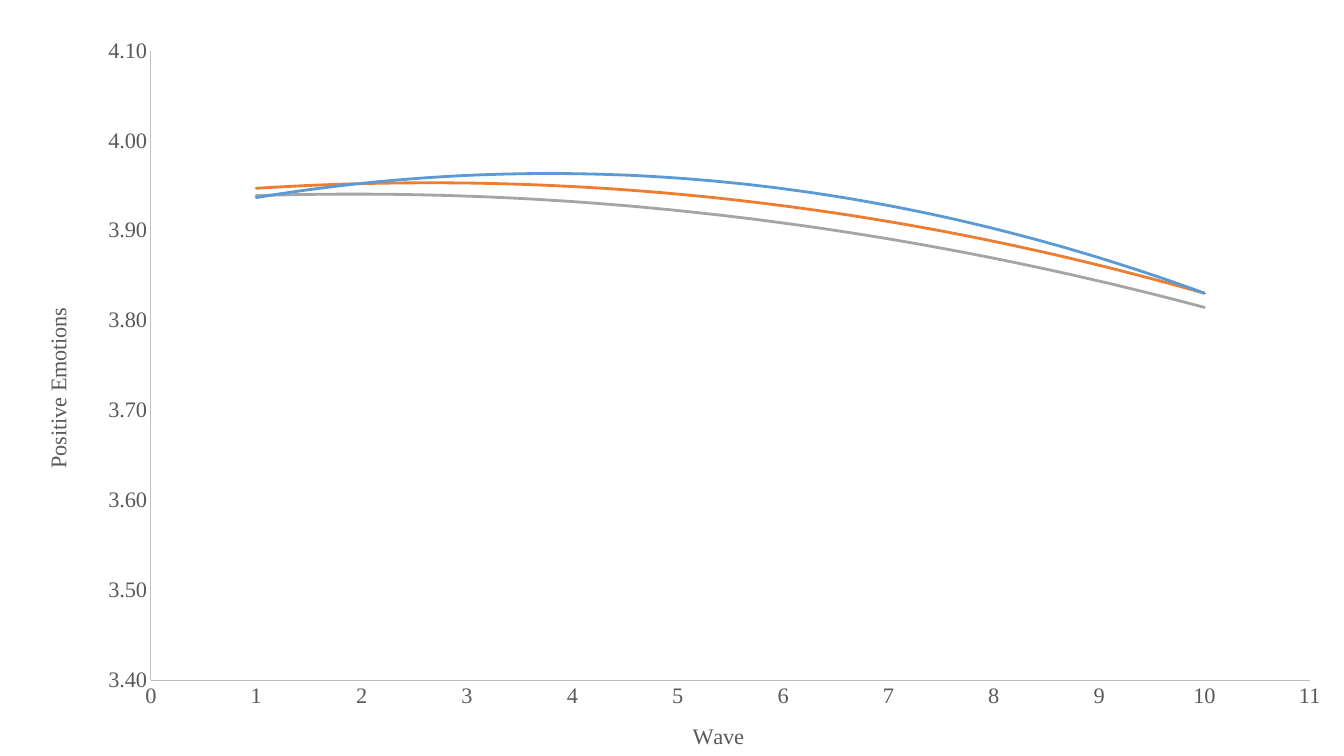
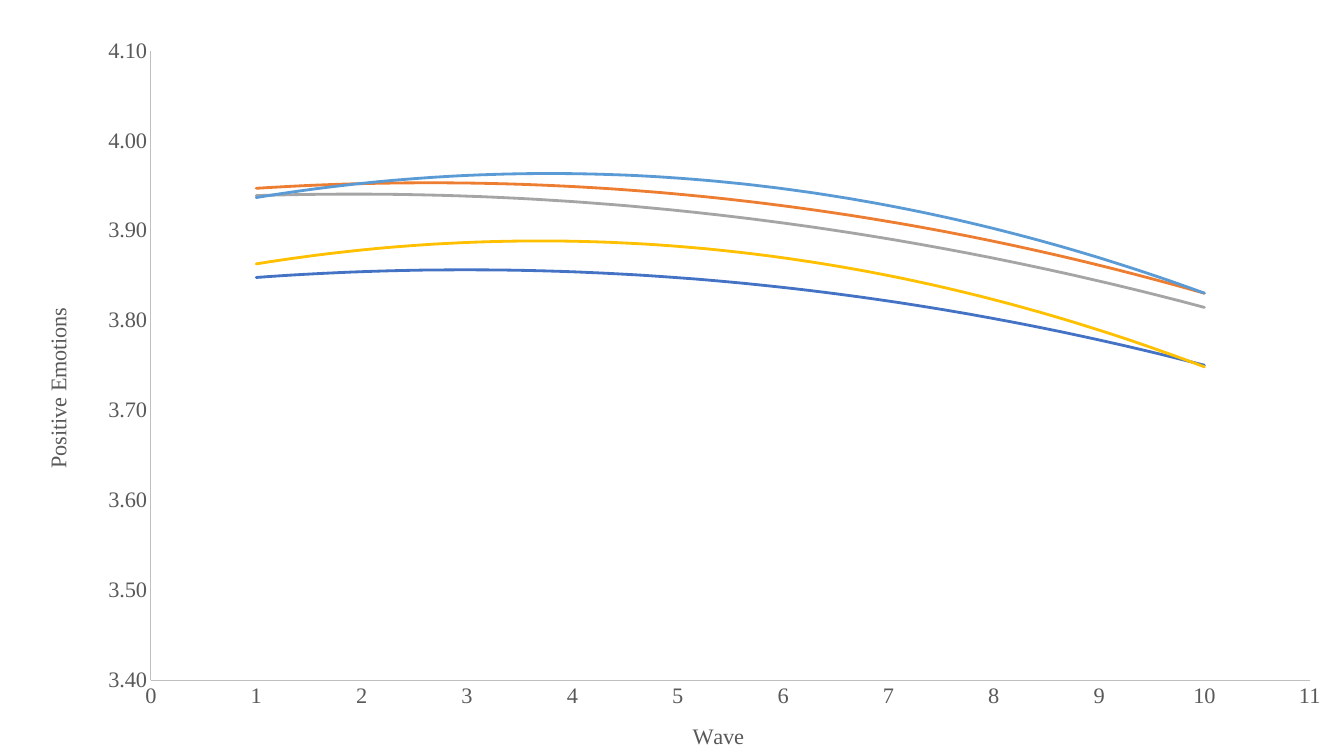
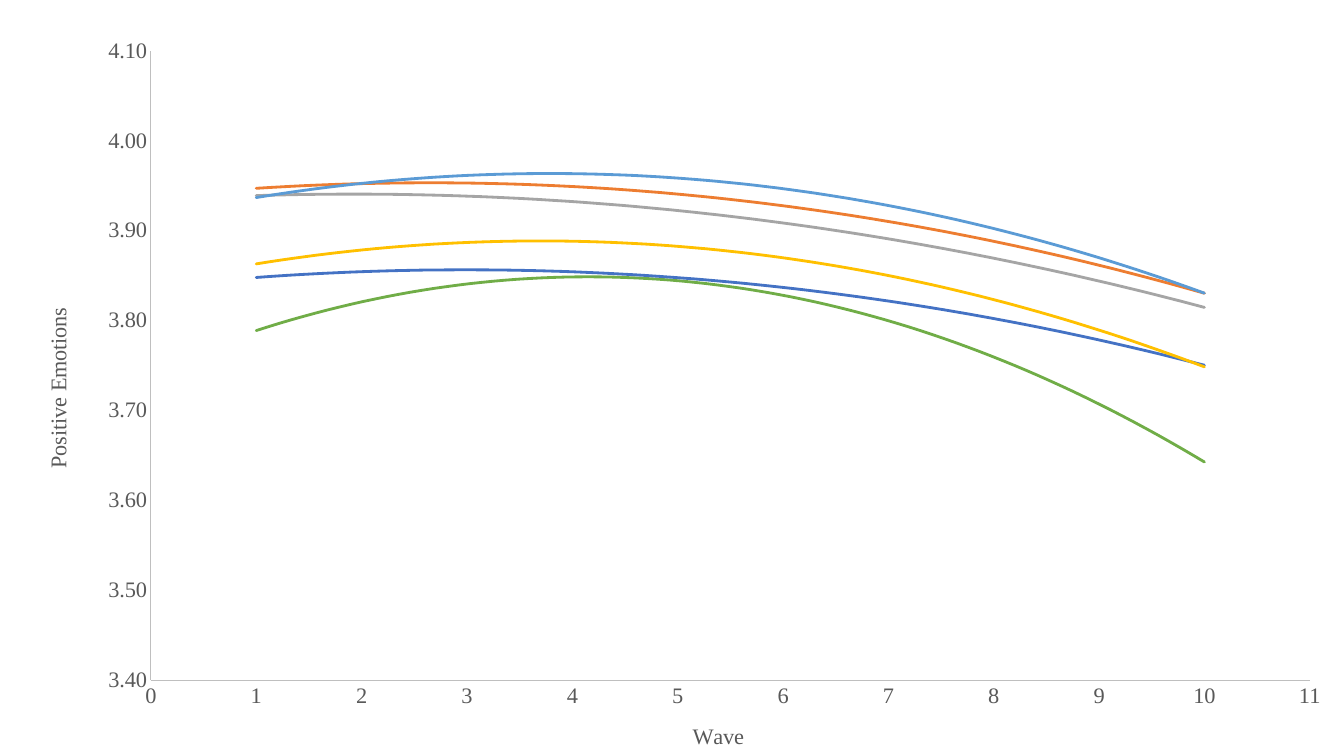
from lxml import etree
from pptx import Presentation
from pptx import util as u
from pptx.chart.data import XyChartData
from pptx.dml.color import RGBColor
from pptx.enum import chart as ch
from pptx.oxml import parse_xml
from pptx.oxml.ns import nsdecls, qn

# Content: (colour, values by wave)
WAVES = range(1, 11)
SERIES = [
    ("5B9BD5", [3.94, 3.95, 3.96, 3.96, 3.96, 3.95, 3.93, 3.90, 3.87, 3.83]),
    ("ED7D31", [3.95, 3.95, 3.95, 3.95, 3.94, 3.93, 3.91, 3.89, 3.86, 3.83]),
    ("A5A5A5", [3.94, 3.94, 3.94, 3.93, 3.92, 3.91, 3.89, 3.87, 3.85, 3.81]),
    ("FFC000", [3.86, 3.88, 3.89, 3.89, 3.88, 3.87, 3.85, 3.82, 3.79, 3.75]),
    ("4472C4", [3.85, 3.85, 3.86, 3.85, 3.85, 3.84, 3.82, 3.80, 3.78, 3.75]),
    ("70AD47", [3.79, 3.82, 3.84, 3.85, 3.84, 3.83, 3.80, 3.76, 3.71, 3.64]),
]
TRENDS_PER_SLIDE = [3, 5, 6]

# Shared style
FONT, SIZE = "Times New Roman", u.Pt(16)
TEXT, AXIS = "595959", "BFBFBF"
PLOT = {"x": 0.107, "y": 0.068, "w": 0.875, "h": 0.84}


def colour(code):
    return RGBColor.from_string(code)


def set_font(font):
    font.name, font.size, font.bold = FONT, SIZE, False
    font.color.rgb = colour(TEXT)


def set_layout(parent, index, places, inner=False):
    """Place a chart part by fractions of the chart area."""
    for old in parent.findall(qn("c:layout")):
        parent.remove(old)
    layout = parse_xml(f"<c:layout {nsdecls('c')}><c:manualLayout/></c:layout>")
    settings = [("layoutTarget", "inner")] if inner else []
    settings += [("xMode", "edge"), ("yMode", "edge"), *places.items()]
    for tag, value in settings:
        etree.SubElement(layout[0], qn(f"c:{tag}")).set("val", str(value))
    parent.insert(index, layout)


def style_axis(axis, title, low, high, step, number_format, place):
    axis.minimum_scale, axis.maximum_scale, axis.major_unit = low, high, step
    axis.has_major_gridlines = axis.has_minor_gridlines = False
    axis.major_tick_mark = axis.minor_tick_mark = ch.XL_TICK_MARK.NONE
    axis.tick_label_position = ch.XL_TICK_LABEL_POSITION.NEXT_TO_AXIS
    axis.tick_labels.number_format = number_format
    axis.tick_labels.number_format_is_linked = False
    axis.format.line.color.rgb = colour(AXIS)
    axis.format.line.width = u.Pt(0.75)
    set_font(axis.tick_labels.font)
    para = axis.axis_title.text_frame.paragraphs[0]
    para.text = title
    set_font(para.font)
    set_layout(axis.axis_title._element, 1, place)


def add_trend(series, code):
    """Add a second-order polynomial trend line."""
    trend = parse_xml(
        f"<c:trendline {nsdecls('c', 'a')}><c:spPr><a:ln w='{u.Pt(2)}' cap='rnd'>"
        f"<a:solidFill><a:srgbClr val='{code}'/></a:solidFill></a:ln></c:spPr>"
        "<c:trendlineType val='poly'/><c:order val='2'/>"
        "<c:dispRSqr val='0'/><c:dispEq val='0'/></c:trendline>")
    series._element.find(qn("c:xVal")).addprevious(trend)


def add_wave_chart(slide, trend_count):
    data = XyChartData(number_format="0.00")
    for number, (_, values) in enumerate(SERIES, 1):
        points = data.add_series(f"Series {number}")
        for wave, value in zip(WAVES, values):
            points.add_data_point(wave, value)
    chart = slide.shapes.add_chart(
        ch.XL_CHART_TYPE.XY_SCATTER, u.Cm(0.23), 0, u.Cm(33.38), u.Cm(19.05), data).chart
    chart.has_title = chart.has_legend = False
    set_font(chart.font)
    plot = chart.plots[0]
    plot.vary_by_categories = False
    set_layout(plot._element.getparent(), 0, PLOT, inner=True)

    # Only the trend lines show
    for index, (series, (code, _)) in enumerate(zip(plot.series, SERIES)):
        series.marker.style = ch.XL_MARKER_STYLE.NONE
        series.format.line.fill.background()
        if index < trend_count:
            add_trend(series, code)

    # Axes
    style_axis(chart.category_axis, "Wave", 0, 11, 1, "General", {"x": 0.513, "y": 0.958})
    style_axis(chart.value_axis, "Positive Emotions", 3.4, 4.1, 0.1, "#,##0.00",
               {"x": 0.023, "y": 0.407})
    body = chart.value_axis.axis_title.text_frame._txBody.bodyPr
    body.set("rot", "-5400000")
    body.set("vert", "horz")


def main():
    deck = Presentation()
    deck.slide_width, deck.slide_height = u.Cm(33.87), u.Cm(19.05)
    for trend_count in TRENDS_PER_SLIDE:
        add_wave_chart(deck.slides.add_slide(deck.slide_layouts[6]), trend_count)
    deck.save("out.pptx")


if __name__ == "__main__":
    main()
